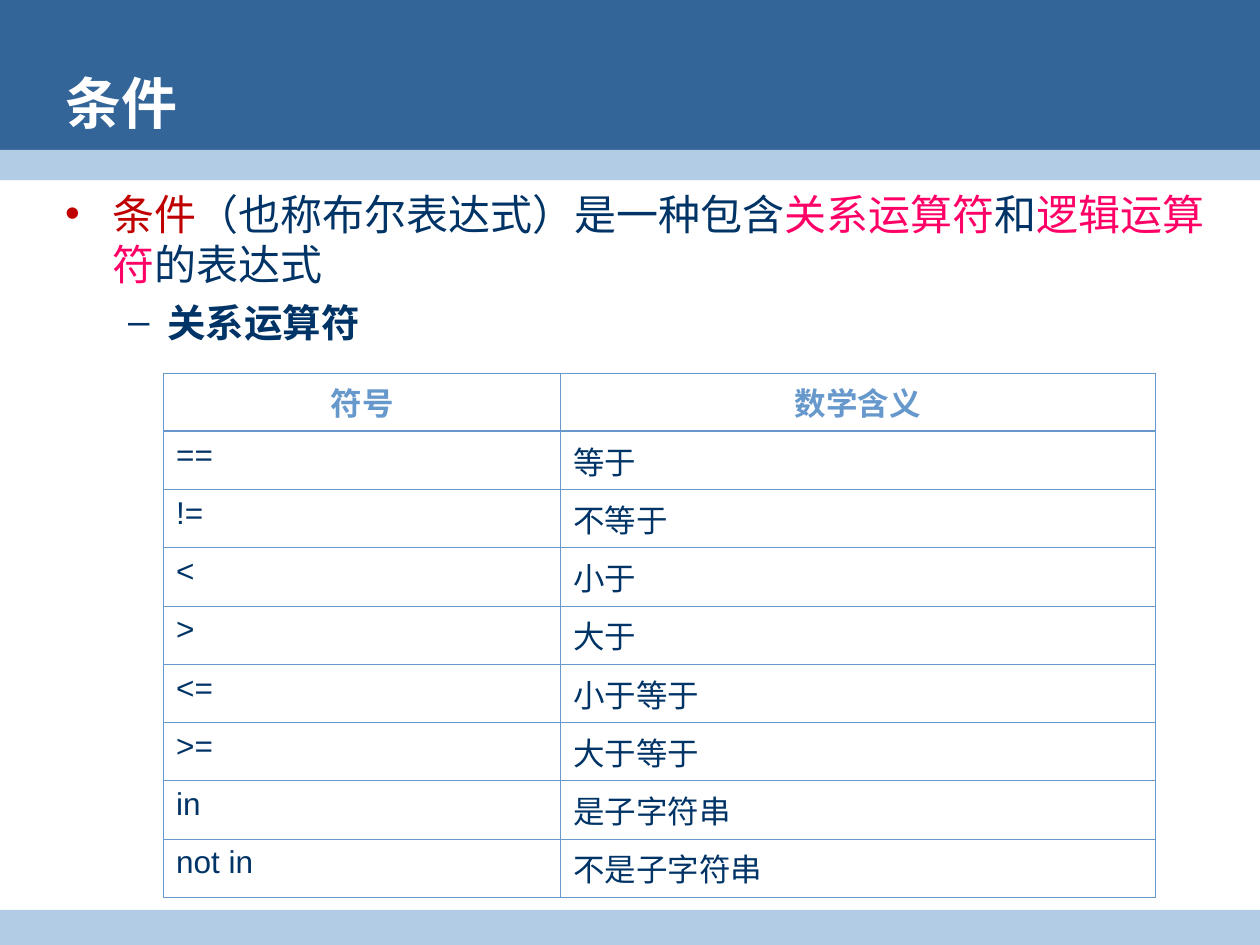
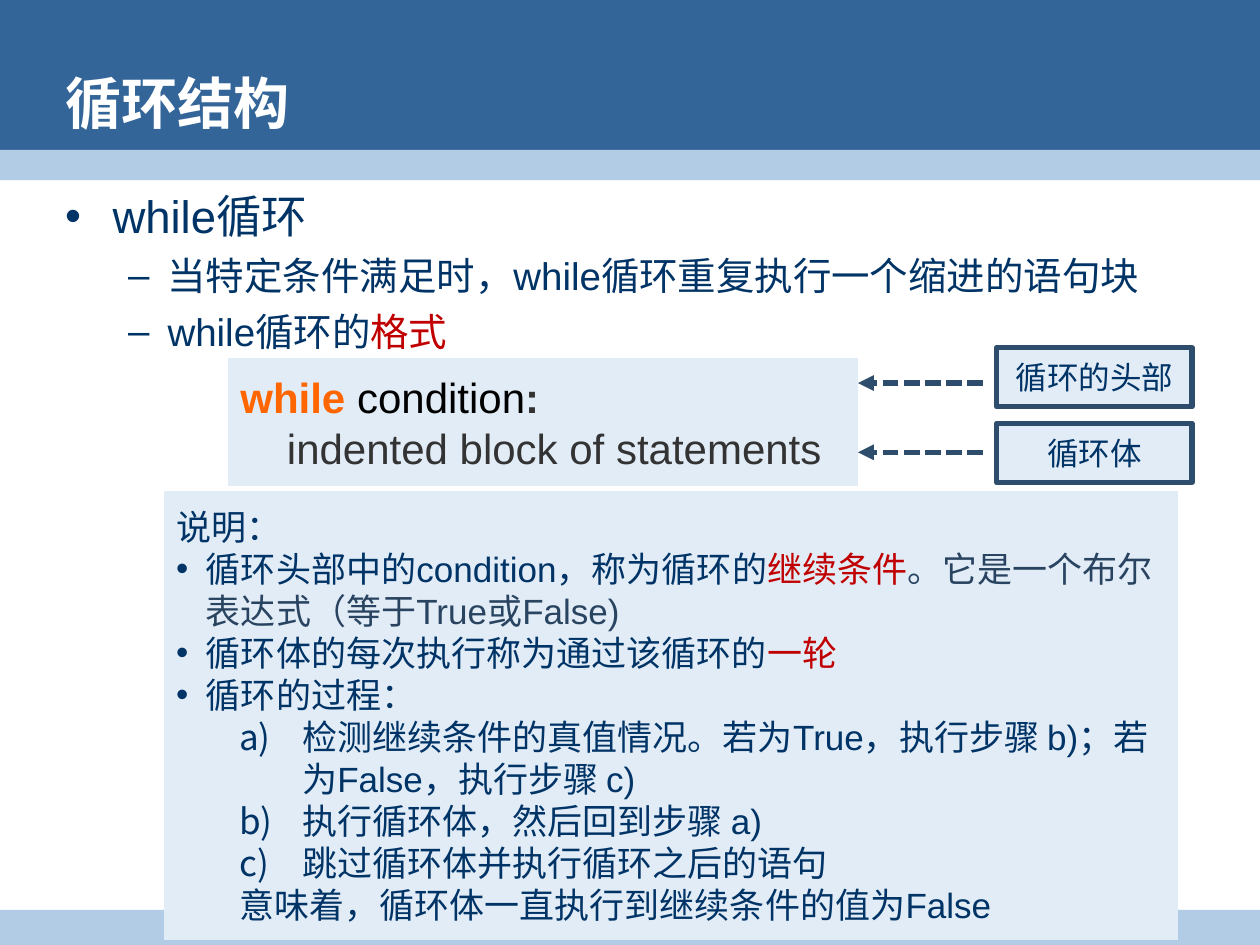
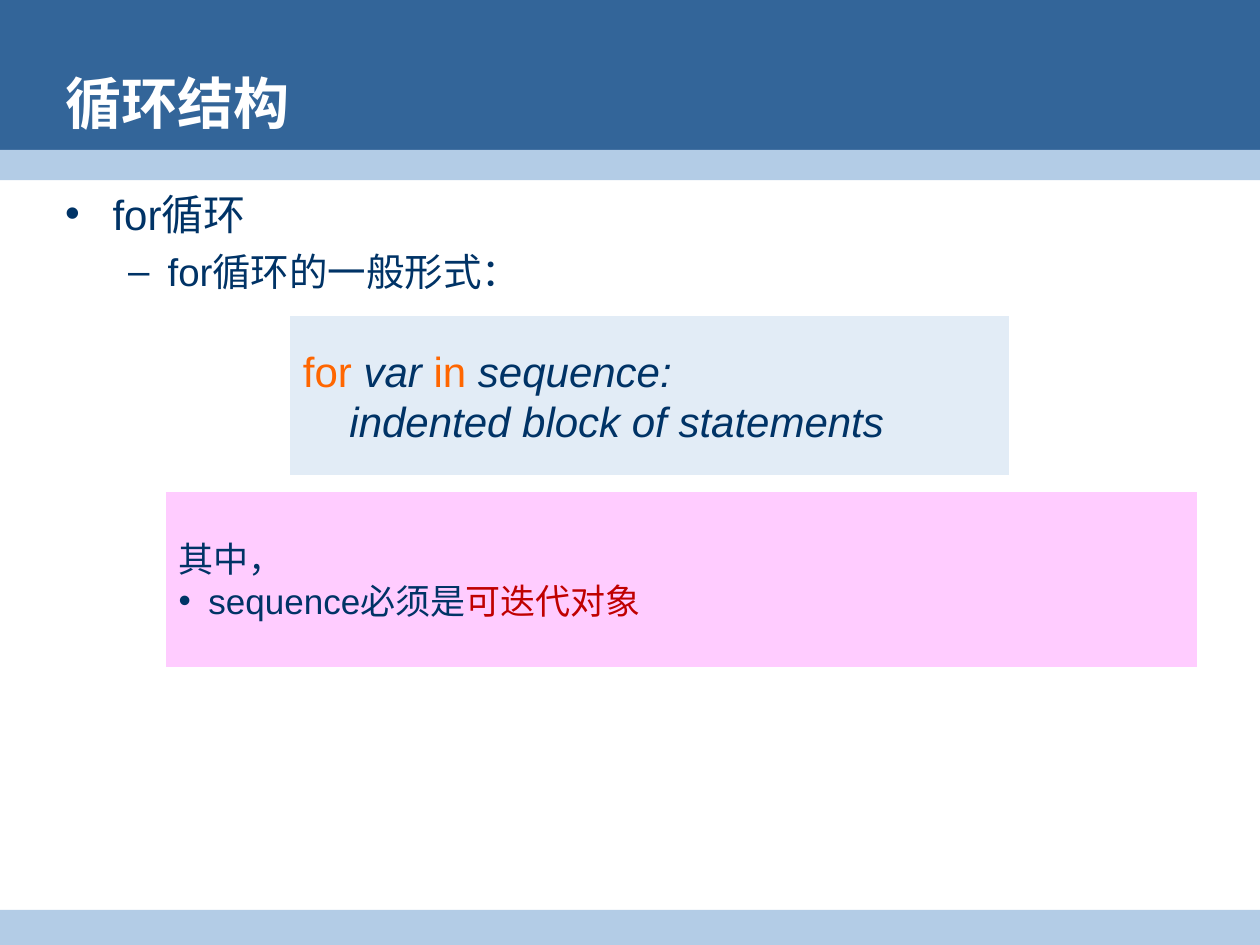
from dataclasses import dataclass

from lxml import etree
from pptx import Presentation
from pptx.dml import color
from pptx.enum import dml, shapes, text
from pptx.oxml import ns
from pptx.util import Pt

NAVY, RED, PINK, ORANGE = "003366", "C00000", "FF0066", "FF6600"
BAND, PALE, SKY, WHITE = "336599", "B3CCE6", "6698CC", "FFFFFF"
PANEL, OUTLINE, BLACK, GREY, SLATE = "E2ECF6", "2E4C6B", "000000", "333333", "294460"
LILAC = "FFCCFF"
LATIN, CHINESE = "Arial", "Noto Sans CJK SC"
CENTER = text.PP_ALIGN.CENTER


@dataclass
class Para:
    runs: list
    size: float
    margin: float = 0
    hanging: float = 0
    before: float = 0
    bullet: str = ""
    bullet_color: str = NAVY
    align: object = None
    tight: bool = True


def rgb(value):
    return color.RGBColor.from_string(value)


def add_xml(parent, tag, **attributes):
    return etree.SubElement(parent, ns.qn(tag), attributes)


def topic(*runs, size=24, bullet_color=NAVY):
    return Para(runs, size, 27, 27, bullet="•", bullet_color=bullet_color)


def subtopic(*runs):
    return Para(runs, 22, 58.5, 22.5, 5.5, "–")


def note(*runs):
    return Para(runs, 20, 17, 17, bullet="•")


def step(*runs):
    return Para(runs, 20, 72, 36, bullet="a)")


def add_bullet(properties, para):
    add_xml(add_xml(properties, "a:buClr"), "a:srgbClr", val=para.bullet_color)
    if para.bullet == "a)":
        add_xml(properties, "a:buFont", typeface=CHINESE)
        add_xml(properties, "a:buAutoNum", type="alphaLcParenR")
    else:
        add_xml(properties, "a:buFont", typeface=LATIN)
        add_xml(properties, "a:buChar", char=para.bullet)


def write(frame, paras):
    for index, para in enumerate(paras):
        paragraph = frame.add_paragraph() if index else frame.paragraphs[0]
        properties = paragraph._p.get_or_add_pPr()
        properties.set("marL", str(Pt(para.margin)))
        properties.set("indent", str(Pt(-para.hanging)))
        if para.bullet:
            add_bullet(properties, para)
        paragraph.alignment = para.align or text.PP_ALIGN.LEFT
        paragraph.space_before = Pt(para.before)
        if para.tight:
            paragraph.line_spacing = Pt(round(para.size * 1.2, 1))
        for words, ink, style in para.runs:
            run = paragraph.add_run()
            run.text = words
            run.font.name = LATIN
            run.font.size = Pt(para.size)
            run.font.bold = "b" in style
            run.font.italic = "i" in style
            run.font.color.rgb = rgb(ink)
            add_xml(run._r.get_or_add_rPr(), "a:ea", typeface=CHINESE)


def add_text(slide, box, paras, anchor=text.MSO_ANCHOR.TOP):
    frame = slide.shapes.add_textbox(*map(Pt, box)).text_frame
    frame.word_wrap = True
    frame.vertical_anchor = anchor
    write(frame, paras)


def add_panel(slide, box, fill, paras=(), outline=None, kind=shapes.MSO_SHAPE.RECTANGLE):
    panel = slide.shapes.add_shape(kind, *map(Pt, box))
    panel.shadow.inherit = False
    panel.fill.solid()
    panel.fill.fore_color.rgb = rgb(fill)
    if outline:
        panel.line.color.rgb = rgb(outline)
        panel.line.width = Pt(3)
    else:
        panel.line.fill.background()
    panel.text_frame.word_wrap = True
    panel.text_frame.vertical_anchor = text.MSO_ANCHOR.MIDDLE
    write(panel.text_frame, paras)


def add_process(slide, box, fill, paras):
    add_panel(slide, box, fill, paras, kind=shapes.MSO_SHAPE.FLOWCHART_PROCESS)


def add_arrow(slide, start, end, y):
    arrow = slide.shapes.add_connector(
        shapes.MSO_CONNECTOR.STRAIGHT, Pt(start), Pt(y), Pt(end), Pt(y))
    arrow.line.color.rgb = rgb(OUTLINE)
    arrow.line.width = Pt(3)
    arrow.line.dash_style = dml.MSO_LINE.SQUARE_DOT
    add_xml(arrow.line._get_or_add_ln(), "a:tailEnd", type="triangle")
    add_xml(arrow._element.spPr, "a:effectLst")


def add_labels(slide, box, labels, gap):
    left, top, width, height = box
    for index, (label, arrow_y) in enumerate(labels):
        label_top = top + index * (height + gap)
        add_panel(slide, (left, label_top, width, height), PANEL,
                  [Para([(label, NAVY, "")], 18, align=CENTER, tight=False)], OUTLINE)
        add_arrow(slide, left - 8, left - 79.2, arrow_y)


def add_borders(cell, widths):
    properties = cell._tc.get_or_add_tcPr()
    for side, width in zip("LRTB", widths):
        line = add_xml(properties, f"a:ln{side}", w=str(Pt(width)))
        add_xml(add_xml(line, "a:solidFill"), "a:srgbClr", val=SKY)
    cell.fill.background()


def add_operators(slide, box, column_widths, rows):
    frame = slide.shapes.add_table(len(rows), len(column_widths), *map(Pt, box))
    operators = frame.table
    operators.first_row = operators.horz_banding = False
    for column, width in zip(operators.columns, column_widths):
        column.width = Pt(width)
    for row_index, row in enumerate(rows):
        operators.rows[row_index].height = Pt(box[3] / len(rows))
        heading = row_index == 0
        ink, style, align = (SKY, "b", CENTER) if heading else (NAVY, "", None)
        widths = (0.45, 0.45, 1.47 if row_index == 1 else 0.45, 1.47 if heading else 0.45)
        for column_index, words in enumerate(row):
            cell = operators.cell(row_index, column_index)
            write(cell.text_frame, [Para([(words, ink, style)], 18, align=align, tight=False)])
            add_borders(cell, widths)


def add_page(deck, title, body):
    slide = deck.slides.add_slide(deck.slide_layouts[6])
    for top, height, fill in ((0, 94.3, BAND), (85.7, 17.3, PALE), (520, 20, PALE)):
        add_panel(slide, (0, top, 720, height), fill)
    add_text(slide, (30.2, 104, 682.6, 416), body)
    add_text(slide, (30.2, 37.4, 652.3, 41.8),
             [Para([(title, WHITE, "b")], 32, tight=False)], text.MSO_ANCHOR.MIDDLE)
    return slide


def build_conditions(deck):
    slide = add_page(deck, "条件", [
        topic(("条件", RED, ""), ("（也称布尔表达式）是一种包含", NAVY, ""),
              ("关系运算符", PINK, ""), ("和", NAVY, ""),
              ("逻辑运算符", PINK, ""), ("的表达式", NAVY, ""), bullet_color=RED),
        subtopic(("关系运算符", NAVY, "b")),
    ])
    add_operators(slide, (93.5, 213.2, 566.8, 299.7), (226.8, 340), [
        ("符号", "数学含义"),
        ("==", "等于"),
        ("!=", "不等于"),
        ("<", "小于"),
        (">", "大于"),
        ("<=", "小于等于"),
        (">=", "大于等于"),
        ("in", "是子字符串"),
        ("not in", "不是子字符串"),
    ])


def build_while_loop(deck):
    slide = add_page(deck, "循环结构", [
        topic(("while循环", NAVY, ""), size=26),
        subtopic(("当特定条件满足时，while循环重复执行一个缩进的语句块", NAVY, "")),
        subtopic(("while循环的", NAVY, ""), ("格式", RED, "")),
    ])
    add_process(slide, (130.3, 204.5, 360, 73.5), PANEL, [
        Para([("while ", ORANGE, "b"), ("condition", BLACK, ""), (":", GREY, "b")], 24),
        Para([("    indented block of statements", GREY, "")], 24),
    ])
    add_labels(slide, (569.5, 198.7, 111.6, 33.8),
               [("循环的头部", 218.9), ("循环体", 258.5)], 9.4)
    add_process(slide, (93.6, 280.8, 579.6, 256.3), PANEL, [
        Para([("说明：", NAVY, "")], 20),
        note(("循环头部中的condition，称为循环的", NAVY, ""), ("继续条件", RED, ""),
             ("。它是一个布尔表达式（等于True或False)", SLATE, "")),
        note(("循环体的每次执行称为通过该循环的", NAVY, ""), ("一轮", RED, "")),
        note(("循环的过程：", NAVY, "")),
        step(("检测继续条件的真值情况。若为True，执行步骤 b)；若为False，执行步骤 c)", NAVY, "")),
        step(("执行循环体，然后回到步骤 a)", NAVY, "")),
        step(("跳过循环体并执行循环之后的语句", NAVY, "")),
        Para([("意味着，循环体一直执行到继续条件的值为False", NAVY, "")], 20, 36),
    ])


def build_for_loop(deck):
    slide = add_page(deck, "循环结构", [
        topic(("for循环", NAVY, "")),
        subtopic(("for循环的一般形式：", NAVY, "")),
    ])
    add_process(slide, (95, 281.3, 589, 99.7), LILAC, [
        Para([("其中，", NAVY, "")], 20),
        note(("sequence必须是", NAVY, ""), ("可迭代对象", RED, "")),
    ])
    add_process(slide, (166, 180.6, 410.6, 91), PANEL, [
        Para([("for", ORANGE, ""), (" var ", NAVY, "i"),
              ("in", ORANGE, ""), (" sequence:", NAVY, "i")], 24),
        Para([("    indented block of statements", NAVY, "i")], 24),
    ])


def main():
    deck = Presentation()
    deck.slide_width, deck.slide_height = Pt(720), Pt(540)
    build_conditions(deck)
    build_while_loop(deck)
    build_for_loop(deck)
    deck.save("out.pptx")


if __name__ == "__main__":
    main()
